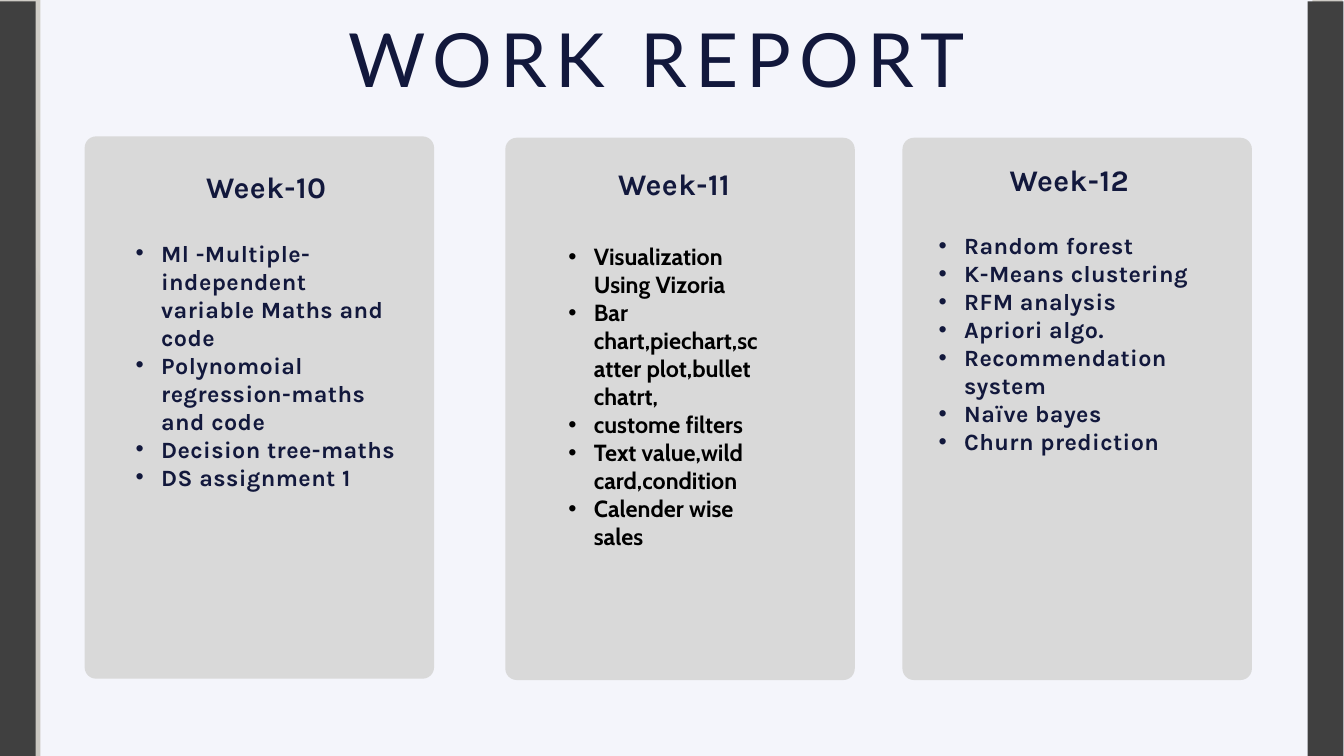
"""Build the weekly work report slide with three week cards."""
from dataclasses import dataclass

from lxml import etree
from pptx import Presentation
from pptx.dml.color import RGBColor
from pptx.enum.shapes import MSO_SHAPE
from pptx.enum.text import MSO_ANCHOR, MSO_AUTO_SIZE, PP_ALIGN
from pptx.oxml.ns import qn
from pptx.slide import Slide
from pptx.text.text import TextFrame, _Paragraph
from pptx.util import Pt

RECTANGLE = MSO_SHAPE.RECTANGLE
ROUNDED = MSO_SHAPE.ROUNDED_RECTANGLE
TOP = MSO_ANCHOR.TOP
GROW = MSO_AUTO_SIZE.SHAPE_TO_FIT_TEXT
LEFT, CENTER = PP_ALIGN.LEFT, PP_ALIGN.CENTER

EMU_PER_PX = 9144
TITLE_ONLY = 5
CARD_WIDTH, CARD_HEIGHT, CARD_RADIUS = 520, 807, 17
BULLET_INDENT = 38


@dataclass(frozen=True)
class Theme:
    """Colours, fonts and type sizes of the slide."""
    glow: str = "ECEAE7"
    rim: str = "CAC7C1"
    canvas: str = "F4F5FB"
    band: str = "404040"
    card: str = "D9D9D9"
    navy: str = "12183C"
    black: str = "000000"
    title_font: str = "Lato"
    week_font: str = "Karla"
    tool_font: str = "Cabin"
    title_size: int = 80
    week_size: int = 32
    topic_size: int = 25
    topic_gap: int = 37


@dataclass(frozen=True)
class Box:
    """A rectangle in px."""
    left: int
    top: int
    width: int
    height: int

    def emu(self) -> list[int]:
        """Return the four lengths in EMU."""
        return [px(n) for n in (self.left, self.top, self.width, self.height)]


@dataclass(frozen=True)
class TextStyle:
    """The look of a run of text."""
    font: str
    size: int
    color: str
    bold: bool = True
    tracking: int = 0


@dataclass(frozen=True)
class TextBlock:
    """An optional week heading above an optional list of topics."""
    box: Box
    topic_style: TextStyle
    week: str = ""
    topics: tuple[str, ...] = ()


THEME = Theme()
TITLE_STYLE = TextStyle(THEME.title_font, THEME.title_size, THEME.navy, False, 880)
WEEK_STYLE = TextStyle(THEME.week_font, THEME.week_size, THEME.navy, tracking=50)
TOPIC_STYLE = TextStyle(THEME.week_font, THEME.topic_size, THEME.navy, tracking=50)
TOOL_STYLE = TextStyle(THEME.tool_font, THEME.topic_size, THEME.black)

CANVAS_PANELS = (Box(1998, 0, 2, 1125), Box(60, 0, 1893, 1125))
SIDE_BANDS = (Box(0, 2, 53, 1123), Box(1946, 2, 53, 1123))
CARD_CORNERS = ((126, 203), (752, 205), (1343, 205))
TEXT_BLOCKS = (
    TextBlock(Box(836, 356, 314, 557), TOOL_STYLE, topics=(
        "Visualization Using Vizoria",
        "Bar chart,piechart,scatter plot,bullet chatrt,",
        "custome filters",
        "Text value,wild card,condition",
        "Calender wise sales")),
    TextBlock(Box(192, 246, 408, 569), TOPIC_STYLE, "Week-10", (
        "Ml -Multiple-independent variable Maths and code",
        "Polynomoial regression-maths and code",
        "Decision tree-maths",
        "DS assignment 1")),
    TextBlock(Box(799, 242, 408, 94), TOPIC_STYLE, "Week-11"),
    TextBlock(Box(1387, 235, 408, 485), TOPIC_STYLE, "Week-12", (
        "Random forest",
        "K-Means clustering",
        "RFM analysis",
        "Apriori algo.",
        "Recommendation system",
        "Naïve bayes",
        "Churn prediction")),
)


def px(length: int) -> int:
    """Turn px into EMU."""
    return length * EMU_PER_PX


def paint_background(slide: Slide) -> None:
    """Fill the background with a circular gradient."""
    fill = slide.background.fill
    fill.gradient()
    for stop, color, position in zip(fill.gradient_stops, (THEME.glow, THEME.rim), (0, 1)):
        stop.color.rgb = RGBColor.from_string(color)
        stop.position = position
    gradient = slide.element.find(".//" + qn("a:gradFill"))
    gradient.remove(gradient.find(qn("a:lin")))
    circle = etree.SubElement(gradient, qn("a:path"), {"path": "circle"})
    etree.SubElement(circle, qn("a:fillToRect"),
                     {"l": "43000", "t": "0", "r": "43000", "b": "100000"})


def add_panel(slide: Slide, box: Box, color: str, radius: int = 0) -> None:
    """Draw a plain panel, rounded when a radius is given."""
    panel = slide.shapes.add_shape(ROUNDED if radius else RECTANGLE, *box.emu())
    if radius:
        panel.adjustments[0] = radius / min(box.width, box.height)
    panel.fill.solid()
    panel.fill.fore_color.rgb = RGBColor.from_string(color)
    panel.line.fill.background()
    panel.shadow.inherit = False


def style_runs(paragraph: _Paragraph, style: TextStyle) -> None:
    """Format every run of a paragraph."""
    for run in paragraph.runs:
        run.font.name = style.font
        run.font.size = Pt(style.size)
        run.font.bold = style.bold
        run.font.color.rgb = RGBColor.from_string(style.color)
        run.font._element.set("spc", str(style.tracking))


def add_bullet(paragraph: _Paragraph) -> None:
    """Give a paragraph a hanging bullet."""
    properties = paragraph._p.get_or_add_pPr()
    properties.set("marL", str(px(BULLET_INDENT)))
    properties.set("indent", str(-px(BULLET_INDENT)))
    etree.SubElement(properties, qn("a:buFont"), {"typeface": "Arial"})
    etree.SubElement(properties, qn("a:buChar"), {"char": "•"})


def prepare_frame(frame: TextFrame) -> None:
    """Wrap the text from the top and let the box grow."""
    frame.word_wrap = True
    frame.vertical_anchor = TOP
    frame.auto_size = GROW


def place_title(slide: Slide, box: Box) -> None:
    """Set the title and bring it above the canvas."""
    title = slide.shapes.title
    title.left, title.top, title.width, title.height = box.emu()
    frame = title.text_frame
    frame.text = "WORK REPORT"
    prepare_frame(frame)
    frame.margin_left = frame.margin_right = frame.margin_bottom = 0
    frame.margin_top = px(1)
    heading = frame.paragraphs[0]
    heading.alignment = LEFT
    style_runs(heading, TITLE_STYLE)
    title.element.getparent().append(title.element)


def add_text_block(slide: Slide, block: TextBlock) -> None:
    """Write a week heading and its bulleted topics."""
    frame = slide.shapes.add_textbox(*block.box.emu()).text_frame
    prepare_frame(frame)
    headings = (block.week,) if block.week else ()
    frame.text = "\n".join(headings + block.topics)
    topics = frame.paragraphs[len(headings):]
    for heading in frame.paragraphs[:len(headings)]:
        heading.alignment = CENTER
        style_runs(heading, WEEK_STYLE)
    for topic in topics:
        add_bullet(topic)
        style_runs(topic, block.topic_style)
    if headings and topics:
        topics[0].space_before = Pt(THEME.topic_gap)


def main() -> None:
    """Build and save the slide."""
    deck = Presentation()
    deck.slide_width, deck.slide_height = px(2000), px(1125)
    slide = deck.slides.add_slide(deck.slide_layouts[TITLE_ONLY])
    paint_background(slide)
    for panel in CANVAS_PANELS:
        add_panel(slide, panel, THEME.canvas)
    place_title(slide, Box(518, 18, 1095, 136))
    for band in SIDE_BANDS:
        add_panel(slide, band, THEME.band)
    for left, top in CARD_CORNERS:
        add_panel(slide, Box(left, top, CARD_WIDTH, CARD_HEIGHT), THEME.card, CARD_RADIUS)
    for block in TEXT_BLOCKS:
        add_text_block(slide, block)
    deck.save("out.pptx")


if __name__ == "__main__":
    main()
